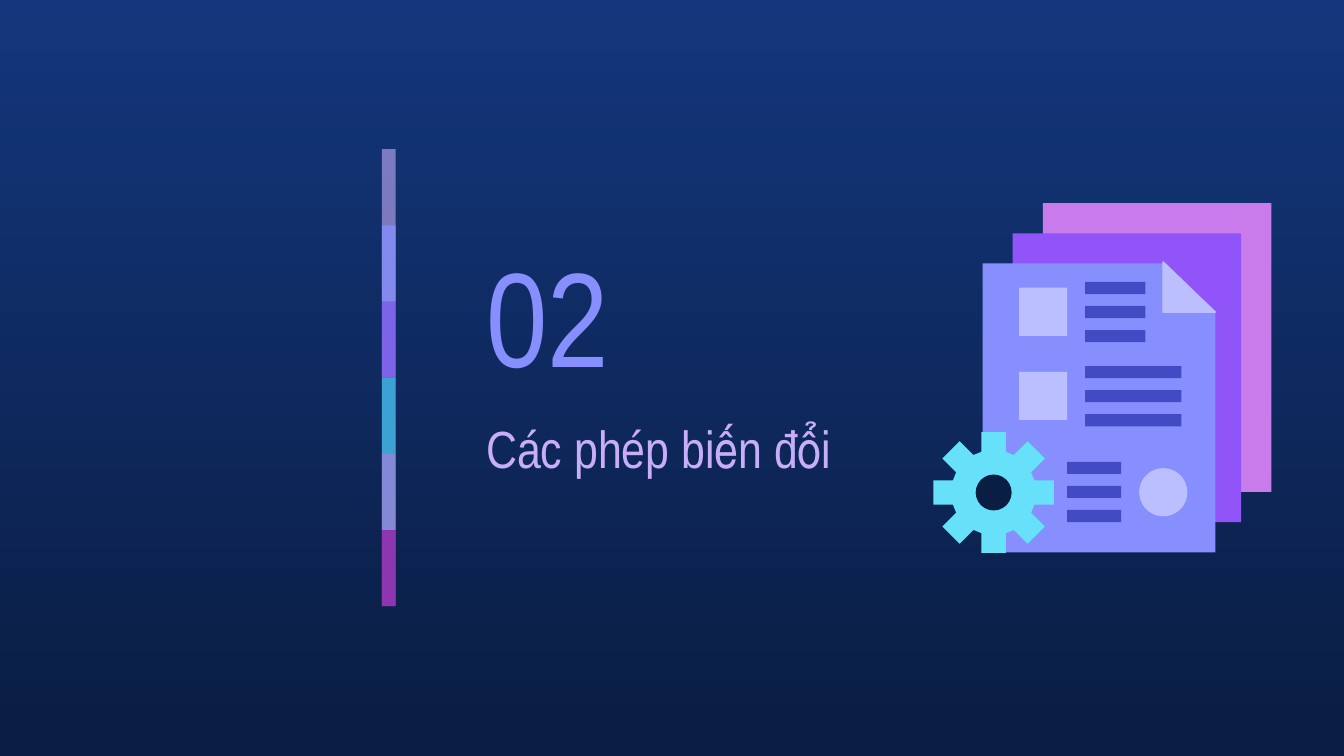
from math import cos, pi, sin

from lxml.etree import SubElement
from pptx import Presentation
from pptx.dml.color import RGBColor
from pptx.enum.shapes import MSO_SHAPE
from pptx.enum.text import MSO_ANCHOR
from pptx.oxml.ns import qn
from pptx.util import Cm, Pt

NAVY_TOP = RGBColor(0x13, 0x36, 0x7C)
NAVY = RGBColor(0x0A, 0x1D, 0x42)
PERIWINKLE = RGBColor(0x87, 0x8F, 0xFF)
LILAC = RGBColor(0xC8, 0xAE, 0xF8)
PINK = RGBColor(0xCA, 0x7B, 0xEB)
VIOLET = RGBColor(0x91, 0x54, 0xF8)
CYAN = RGBColor(0x67, 0xE0, 0xF9)
TEAL = RGBColor(0x35, 0xC2, 0xDF)
MAGENTA = RGBColor(0x97, 0x2C, 0xB4)
PALE = RGBColor(0xBB, 0xBF, 0xFF)
INDIGO = RGBColor(0x42, 0x4B, 0xC4)

prs = Presentation()
prs.slide_width, prs.slide_height = Cm(25.4), Cm(14.29)
s = prs.slides.add_slide(prs.slide_layouts[6])

bg = s.background.fill
bg.gradient()
bg.gradient_angle = 270
for stop, position, color in zip(bg.gradient_stops, (0, 1), (NAVY_TOP, NAVY)):
    stop.position = position
    stop.color.rgb = color


def add_preset(group, kind, x, y, w, h, color):
    sp = group.shapes.add_shape(kind, Cm(x), Cm(y), Cm(w), Cm(h))
    sp.shadow.inherit = False
    sp.fill.solid()
    sp.fill.fore_color.rgb = color
    sp.line.fill.background()
    return sp


def add_outline(group, points, color):
    points = [(Cm(x), Cm(y)) for x, y in points]
    builder = group.shapes.build_freeform(*points[0])
    builder.add_line_segments(points[1:], close=True)
    sp = builder.convert_to_shape()
    sp.shadow.inherit = False
    sp.fill.solid()
    sp.fill.fore_color.rgb = color
    sp.line.fill.background()
    return sp


# Section number and title
for text, y, w, h, size, color, anchor in (
    ("02", 4.22, 4.45, 3.43, 72, PERIWINKLE, MSO_ANCHOR.MIDDLE),
    ("Các phép biến đổi", 7.62, 7.29, 2.44, 28, LILAC, MSO_ANCHOR.TOP),
):
    tf = s.shapes.add_textbox(Cm(8.94), Cm(y), Cm(w), Cm(h)).text_frame
    tf.word_wrap = True
    tf.vertical_anchor = anchor
    tf.margin_left = tf.margin_right = tf.margin_top = tf.margin_bottom = Cm(0.25)
    r = tf.paragraphs[0].add_run()
    r.text = text
    r.font.name = "Arial Narrow"
    r.font.size = Pt(size)
    r.font.color.rgb = color

# Stack of pages
icon = s.shapes.add_group_shape()
for x, y, color in ((19.71, 3.84, PINK), (19.14, 4.41, VIOLET)):
    add_preset(icon, MSO_SHAPE.RECTANGLE, x, y, 4.32, 5.46, color)
add_outline(icon, [(18.57, 4.98), (18.57, 10.44), (22.97, 10.44),
                   (22.97, 5.91), (22.04, 4.98)], PERIWINKLE)

# Gear: eight teeth, one every 45 degrees
GEAR_X, GEAR_Y = 18.78, 9.31
tooth = [(-0.23, -0.77), (-0.23, -1.14), (0.23, -1.14), (0.23, -0.77)]
gear = []
for i in range(8):
    c, d = cos(i * pi / 4), sin(i * pi / 4)
    gear += [(GEAR_X + x * c - y * d, GEAR_Y + x * d + y * c) for x, y in tooth]
add_outline(icon, gear, CYAN)
add_preset(icon, MSO_SHAPE.OVAL, GEAR_X - 0.34, GEAR_Y - 0.34, 0.68, 0.68, NAVY)

# Page contents
for kind, x, y in (
    (MSO_SHAPE.RECTANGLE, 19.26, 5.44),
    (MSO_SHAPE.RECTANGLE, 19.26, 7.03),
    (MSO_SHAPE.OVAL, 21.53, 8.85),
):
    add_preset(icon, kind, x, y, 0.91, 0.91, PALE)
for x, y, w in ((20.51, 5.33, 1.14), (20.51, 6.92, 1.82), (20.17, 8.73, 1.02)):
    for row in range(3):
        add_preset(icon, MSO_SHAPE.RECTANGLE, x, y + row * 0.455, w, 0.23, INDIGO)
fold = add_outline(icon, [(21.98, 4.95), (21.98, 5.9), (22.97, 5.9)], PALE)
fold.line.color.rgb = PALE
fold.line.width = Pt(0.75)

# Translucent bar: each segment reaches under the next one
STEP = 1.44
bar = s.shapes.add_group_shape()
segments = ((LILAC, 59), (PERIWINKLE, 74), (VIOLET, 53),
            (TEAL, 76), (PINK, 56), (MAGENTA, 74))
for i, (color, opacity) in enumerate(segments):
    h = STEP if i == len(segments) - 1 else 2 * STEP
    sp = add_preset(bar, MSO_SHAPE.RECTANGLE, 7.22, 2.82 + i * STEP, 0.26, h, color)
    rgb = sp.fill._xPr.find(".//" + qn("a:srgbClr"))
    SubElement(rgb, qn("a:alpha")).set("val", str(opacity * 1000))

prs.save("out.pptx")
